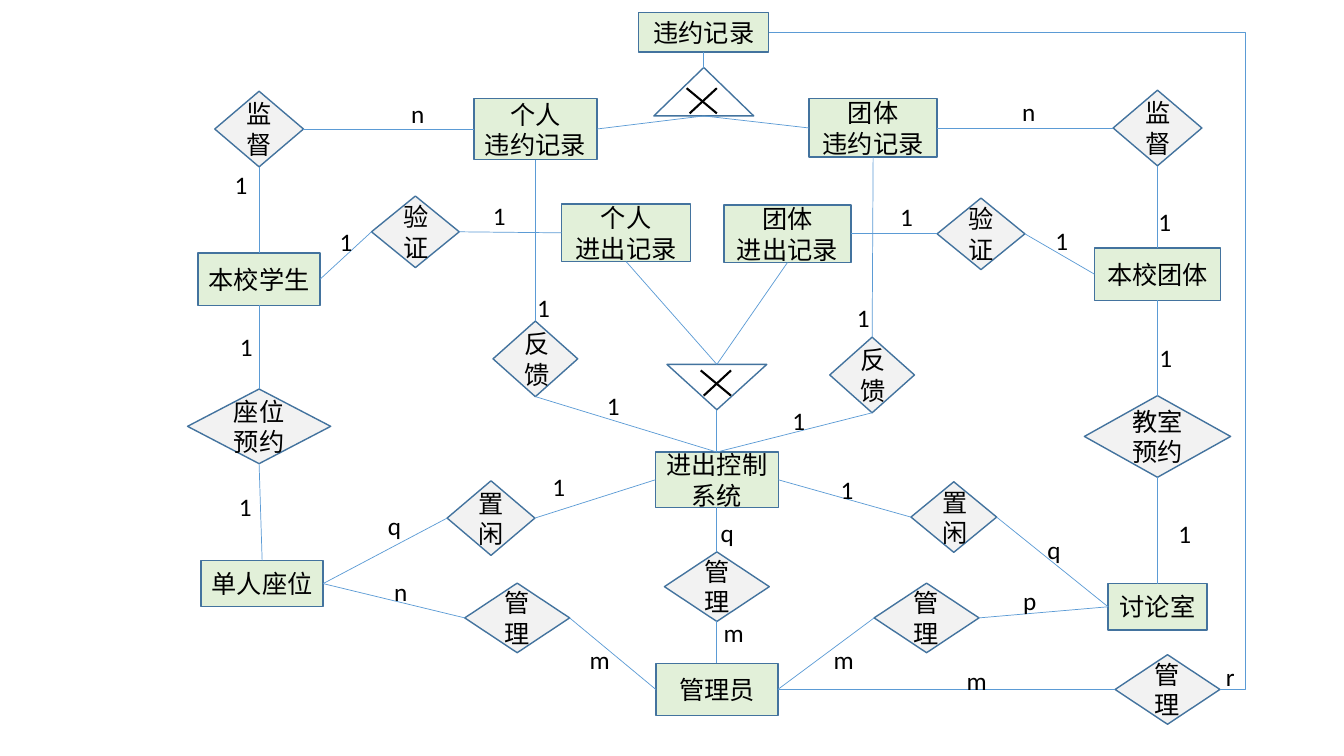
"""Draw the seat and room booking relation chart."""
from dataclasses import dataclass
from enum import Enum, IntEnum

from lxml.etree import SubElement
from pptx import Presentation
from pptx.dml.color import RGBColor
from pptx.enum.shapes import MSO_CONNECTOR, MSO_SHAPE
from pptx.enum.text import MSO_ANCHOR, MSO_AUTO_SIZE, PP_ALIGN
from pptx.oxml.ns import qn
from pptx.shapes.autoshape import Shape
from pptx.shapes.connector import Connector
from pptx.text.text import TextFrame
from pptx.util import Inches, Pt


@dataclass(frozen=True)
class Theme:
    """Colours, font and sizes."""
    green: str = "E2F0D9"
    grey: str = "F2F2F2"
    edge: str = "43739E"
    link: str = "5B9BD5"
    ink: str = "000000"
    font: str = "Calibri"
    size: float = 18
    rim: float = 1
    thin: float = 0.5
    bold: float = 1.5


LOOK = Theme()


class Kind(Enum):
    """Preset and fill of each sort of node."""
    BOX = (MSO_SHAPE.RECTANGLE, LOOK.green)
    ACT = (MSO_SHAPE.DIAMOND, LOOK.grey)
    FORK = (MSO_SHAPE.FLOWCHART_MERGE, None)
    PEAK = (MSO_SHAPE.FLOWCHART_MERGE, "")


class Side(IntEnum):
    """Connection sites."""
    T = 0
    L = 1
    B = 2
    R = 3


@dataclass(frozen=True)
class Node:
    """A shape given by its centre and size in grid cells."""
    kind: Kind
    text: str
    col: float
    row: float
    wide: float
    high: float

    def port(self, side: Side) -> tuple[float, float]:
        """Find the middle of one side."""
        dx, dy = {Side.T: (0, -1), Side.L: (-1, 0), Side.B: (0, 1), Side.R: (1, 0)}[side]
        return self.col + dx * self.wide / 2, self.row + dy * self.high / 2


@dataclass(frozen=True)
class Link:
    """A line between two node sides."""
    tail: str
    out: Side
    head: str
    into: Side
    bend: int = 0


@dataclass(frozen=True)
class Mark:
    """A count beside a link."""
    text: str
    col: float
    row: float


BOX, ACT, FORK, PEAK = Kind
T, L, B, R = Side
LEFT, SOLO, MID, TEAM, RIGHT, TOP = 25.7, 53.1, 71.1, 86.5, 114.8, 69.8
RULE = (10.4, 6.9)
BACK = (8.4, 7.5)
WATCH = (8.8, 7.5)
PROVE = (8.7, 7.1)

NODES = {
    "pupil": Node(BOX, "本校学生", LEFT, 27.7, 12.1, 5.2),
    "group": Node(BOX, "本校团体", RIGHT, 27.2, 12.5, 5.2),
    "staff": Node(BOX, "管理员", MID, 68.4, 12.1, 5.2),
    "seat": Node(BOX, "单人座位", 26, 57.9, 12.1, 4.6),
    "room": Node(BOX, "讨论室", RIGHT, 60.2, 9.8, 4.6),
    "gate": Node(BOX, "进出控制系统", MID, 47.6, 12.2, 5.5),
    "fault": Node(BOX, "违约记录", TOP, 3.2, 12.9, 3.9),
    "fault solo": Node(BOX, "个人\n违约记录", SOLO, 12.8, 12.2, 6.1),
    "fault team": Node(BOX, "团体\n违约记录", 86.6, 12.7, 12.7, 5.8),
    "entry solo": Node(BOX, "个人\n进出记录", 62.1, 23.1, 12.8, 5.7),
    "entry team": Node(BOX, "团体\n进出记录", 78.1, 23.2, 12.6, 5.7),
    "peak": Node(PEAK, "", TOP, 9.1, 9.9, 4.8),
    "fork": Node(FORK, "", MID, 38.4, 9.9, 4.5),
    "watch solo": Node(ACT, "监督", LEFT, 12.8, *WATCH),
    "watch team": Node(ACT, "监督", RIGHT, 12.7, *WATCH),
    "prove solo": Node(ACT, "验证", 41.2, 23, *PROVE),
    "prove team": Node(ACT, "验证", 97.3, 23.2, *PROVE),
    "back solo": Node(ACT, "反馈", SOLO, 35.6, *BACK),
    "back team": Node(ACT, "反馈", TEAM, 37.2, *BACK),
    "book seat": Node(ACT, "座位预约", LEFT, 42.3, 14.2, 7.4),
    "book room": Node(ACT, "教室预约", RIGHT, 43.3, 14.5, 8.1),
    "idle seat": Node(ACT, "置闲", 48.7, 51.4, 8.7, 7.4),
    "idle room": Node(ACT, "置闲", 94.6, 51.3, 8.5, 7),
    "rule seat": Node(ACT, "管理", 51.3, 61.3, *RULE),
    "rule gate": Node(ACT, "管理", MID, 58.2, *RULE),
    "rule room": Node(ACT, "管理", 91.9, 61.3, *RULE),
    "rule fault": Node(ACT, "管理", 115.8, 68.4, *RULE),
}

LINKS = [
    Link("staff", T, "rule gate", B), Link("gate", B, "rule gate", T),
    Link("rule seat", L, "seat", R), Link("staff", L, "rule seat", R),
    Link("staff", R, "rule room", L), Link("rule room", R, "room", L),
    Link("staff", R, "rule fault", L), Link("fault", R, "rule fault", R, 105600),
    Link("fault solo", R, "peak", B), Link("peak", B, "fault team", L),
    Link("fault", B, "peak", T), Link("fork", B, "gate", T),
    Link("entry solo", B, "fork", T), Link("entry team", B, "fork", T),
    Link("watch solo", R, "fault solo", L), Link("watch solo", B, "pupil", T),
    Link("fault team", R, "watch team", L), Link("watch team", B, "group", T),
    Link("pupil", B, "book seat", T), Link("book seat", B, "seat", T),
    Link("group", B, "book room", T), Link("book room", B, "room", T),
    Link("fault solo", B, "back solo", T), Link("back solo", B, "gate", T),
    Link("fault team", B, "back team", T), Link("back team", B, "gate", T),
    Link("prove solo", R, "entry solo", L), Link("prove solo", L, "pupil", R),
    Link("prove team", L, "entry team", R), Link("prove team", R, "group", L),
    Link("idle seat", R, "gate", L), Link("idle seat", L, "seat", R),
    Link("idle room", L, "gate", R), Link("idle room", R, "room", L),
]

SPOTS = {
    "1": [(22.7, 48.3), (52.3, 28.5), (113.9, 20), (22.3, 16.3), (103.7, 21.9), (84, 29.5),
          (59.2, 38.2), (22.8, 32.4), (114, 33.5), (115.9, 50.9), (88.3, 19.5), (32.7, 22),
          (47.9, 19.4), (77.6, 39.7), (53.8, 46.3), (82.4, 46.6)],
    "n": [(38.1, 56.7), (100.4, 9.1), (39.8, 9.3)],
    "m": [(57.5, 63.4), (70.8, 60.8), (81.7, 63.4), (94.9, 65.5)],
    "q": [(70.5, 50.8), (37.5, 50.1), (102.9, 52.5)],
    "p": [(100.5, 57.6)],
    "r": [(120.6, 65.1)],
}
MARKS = [Mark(text, *spot) for text, spots in SPOTS.items() for spot in spots]
WIDTHS = {"m": 4, "r": 2.9}
KNOTS = [(69.6, 10), (71, 38)]

deck = Presentation()
deck.slide_width, deck.slide_height = Inches(13.33), Inches(7.5)
page = deck.slides.add_slide(deck.slide_layouts[6])


def cells(*spans: float) -> list[int]:
    """Turn grid cells, ten to the inch, into lengths."""
    return [Inches(span / 10) for span in spans]


def write(frame: TextFrame, text: str, align: PP_ALIGN) -> None:
    """Write each line as one run."""
    for num, line in enumerate(text.split("\n")):
        para = frame.add_paragraph() if num else frame.paragraphs[0]
        para.alignment = align
        run = para.add_run()
        run.text = line
        run.font.name, run.font.size = LOOK.font, Pt(LOOK.size)
        run.font.color.rgb = RGBColor.from_string(LOOK.ink)


def draw(node: Node) -> Shape:
    """Draw one node."""
    form, fill = node.kind.value
    (left, _), (_, top) = node.port(L), node.port(T)
    shape = page.shapes.add_shape(form, *cells(left, top, node.wide, node.high))
    shape.shadow.inherit = False
    shape.line.color.rgb = RGBColor.from_string(LOOK.edge)
    shape.line.width = Pt(LOOK.rim)
    if fill:
        shape.fill.solid()
        shape.fill.fore_color.rgb = RGBColor.from_string(fill)
    else:
        shape.fill.background()
    if node.kind is PEAK:
        shape._element.spPr.xfrm.set("flipV", "1")
    if node.text:
        shape.text_frame.word_wrap = True
        shape.text_frame.vertical_anchor = MSO_ANCHOR.MIDDLE
        write(shape.text_frame, node.text, PP_ALIGN.CENTER)
    return shape


def stroke(start: tuple, end: tuple, tint: str, thick: float, bend: int = 0) -> Connector:
    """Draw one plain line, bent on request."""
    form = MSO_CONNECTOR.ELBOW if bend else MSO_CONNECTOR.STRAIGHT
    line = page.shapes.add_connector(form, *cells(*start, *end))
    line.line.color.rgb = RGBColor.from_string(tint)
    line.line.width = Pt(thick)
    props = line._element.spPr
    SubElement(props, qn("a:effectLst"))
    if bend:
        guides = props.find(qn("a:prstGeom")).find(qn("a:avLst"))
        SubElement(guides, qn("a:gd"), name="adj1", fmla=f"val {bend}")
    return line


def join(link: Link, shapes: dict[str, Shape]) -> None:
    """Link two nodes, glued unless the node is flipped."""
    tail, head = NODES[link.tail], NODES[link.head]
    line = stroke(tail.port(link.out), head.port(link.into), LOOK.link, LOOK.thin, link.bend)
    if tail.kind is not PEAK:
        line.begin_connect(shapes[link.tail], link.out)
    if head.kind is not PEAK:
        line.end_connect(shapes[link.head], link.into)


def label(mark: Mark) -> None:
    """Write one count."""
    wide = WIDTHS.get(mark.text, 3.3)
    frame = page.shapes.add_textbox(*cells(mark.col, mark.row, wide, 4)).text_frame
    frame.word_wrap = False
    frame.auto_size = MSO_AUTO_SIZE.SHAPE_TO_FIT_TEXT
    write(frame, mark.text, PP_ALIGN.LEFT)


def cross(col: float, row: float) -> None:
    """Draw the two strokes of a cross."""
    for lean, rise in ((1.5, 1.25), (1.2, -1.25)):
        stroke((col - lean, row - rise), (col + 1.5, row + rise), LOOK.ink, LOOK.bold)


drawn = {name: draw(node) for name, node in NODES.items()}
for tie in LINKS:
    join(tie, drawn)
for knot in KNOTS:
    cross(*knot)
for count in MARKS:
    label(count)
deck.save("out.pptx")
